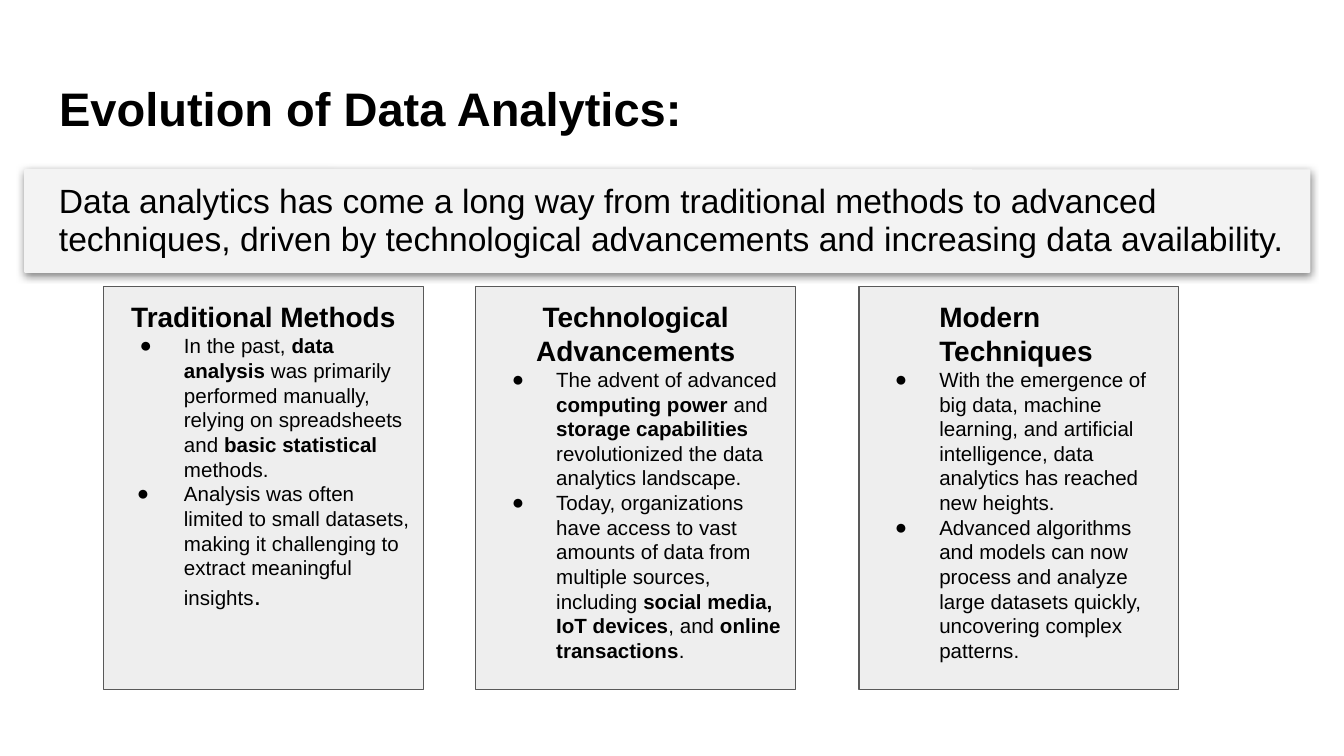
from lxml.etree import SubElement
from pptx import Presentation
from pptx.dml.color import RGBColor
from pptx.enum.shapes import MSO_SHAPE as Shape
from pptx.enum.text import MSO_ANCHOR as Anchor, PP_ALIGN as Align
from pptx.oxml.ns import qn
from pptx.util import Inches, Pt

TITLE = "Evolution of Data Analytics:"
SUMMARY = (
    "Data analytics has come a long way from traditional methods to advanced techniques, "
    "driven by technological advancements and increasing data availability."
)
REGULAR, BOLD, LARGE = (11, False), (11, True), (14, False)
CARDS = [
    {"left": 0.77, "heading": "Traditional Methods", "centered": True, "bullets": [
        (0.33, [("In the past, ", REGULAR), ("data analysis", BOLD),
                (" was primarily performed manually, relying on spreadsheets and ", REGULAR),
                ("basic statistical", BOLD), (" methods.", REGULAR)]),
        (0.35, [("Analysis was often limited to small datasets, making it challenging "
                 "to extract meaningful insights", REGULAR), (".", LARGE)]),
    ]},
    {"left": 3.54, "heading": "Technological Advancements", "centered": True, "bullets": [
        (0.33, [("The advent of advanced ", REGULAR), ("computing power", BOLD),
                (" and ", REGULAR), ("storage capabilities", BOLD),
                (" revolutionized the data analytics landscape.", REGULAR)]),
        (0.33, [("Today, organizations have access to vast amounts of data from "
                 "multiple sources, including ", REGULAR),
                ("social media, IoT devices", BOLD), (", and ", REGULAR),
                ("online transactions", BOLD), (".", REGULAR)]),
    ]},
    {"left": 6.39, "heading": "Modern Techniques", "centered": False, "bullets": [
        (0.33, [("With the emergence of big data, machine learning, and artificial "
                 "intelligence, data analytics has reached new heights.", REGULAR)]),
        (0.33, [("Advanced algorithms and models can now process and analyze large "
                 "datasets quickly, uncovering complex patterns.", REGULAR)]),
    ]},
]
SLIDE_WIDTH = Inches(10)
SLIDE_HEIGHT = SLIDE_WIDTH * 9 // 16
CARD_TOP, CARD_WIDTH, CARD_HEIGHT = 2.13, 2.38, 3
TEXT_LEFT, TEXT_WIDTH = 0.34, 9.32
BANNER_TOP, BANNER_HEIGHT = 1.26, 0.77
INDENT = 0.5


def color(value):
    return RGBColor.from_string(value)


def style(font, size, bold=False):
    font.name, font.size, font.bold = "Arial", Pt(size), bold
    font.color.rgb = color("000000")


def prepare(frame):
    frame.word_wrap = True
    frame.vertical_anchor = Anchor.TOP
    frame.margin_left = frame.margin_right = Inches(0.1)
    frame.margin_top = frame.margin_bottom = Inches(0.1)


def add_box(slide, kind, box, fill):
    shape = slide.shapes.add_shape(kind, *map(Inches, box))
    shape.shadow.inherit = False
    shape.fill.solid()
    shape.fill.fore_color.rgb = color(fill)
    return shape


def set_indent(paragraph, hanging=0):
    properties = paragraph._p.get_or_add_pPr()
    properties.set("marL", str(Inches(INDENT)))
    properties.set("indent", str(-Inches(hanging)))
    return properties


def add_bullet(frame, hanging, runs):
    paragraph = frame.add_paragraph()
    paragraph.alignment = Align.LEFT
    properties = set_indent(paragraph, hanging)
    bullet_color = SubElement(properties, qn("a:buClr"))
    SubElement(bullet_color, qn("a:srgbClr"), val="000000")
    SubElement(properties, qn("a:buFont"), typeface="Arial")
    SubElement(properties, qn("a:buChar"), char="●")
    for text, (size, bold) in runs:
        run = paragraph.add_run()
        run.text = text
        style(run.font, size, bold)


def add_card(slide, card):
    box = (card["left"], CARD_TOP, CARD_WIDTH, CARD_HEIGHT)
    shape = add_box(slide, Shape.RECTANGLE, box, "EEEEEE")
    shape.line.color.rgb = color("595959")
    shape.line.width = Pt(0.75)
    frame = shape.text_frame
    prepare(frame)
    heading = frame.paragraphs[0]
    heading.text = card["heading"]
    heading.alignment = Align.CENTER if card["centered"] else Align.LEFT
    if not card["centered"]:
        set_indent(heading)
    style(heading.font, 15, True)
    for hanging, runs in card["bullets"]:
        add_bullet(frame, hanging, runs)


def add_banner(slide):
    box = (0.18, BANNER_TOP, 9.57, BANNER_HEIGHT)
    banner = add_box(slide, Shape.ROUNDED_RECTANGLE, box, "F3F3F3")
    banner.adjustments[0] = 0.01
    banner.line.fill.background()
    effects = banner._element.spPr.find(qn("a:effectLst"))
    shadow = SubElement(effects, qn("a:outerShdw"), blurRad=str(Pt(4.5)), dist=str(Pt(1.5)),
                        dir=str(90 * 60000), algn="bl", rotWithShape="0")
    shade = SubElement(shadow, qn("a:srgbClr"), val="000000")
    SubElement(shade, qn("a:alpha"), val="50000")

    box = (TEXT_LEFT, BANNER_TOP, TEXT_WIDTH, BANNER_HEIGHT)
    frame = slide.shapes.add_textbox(*map(Inches, box)).text_frame
    prepare(frame)
    summary = frame.paragraphs[0]
    summary.text = SUMMARY
    summary.line_spacing = 0.95
    summary.space_after = Pt(12)
    style(summary.font, 18)


def add_title(slide):
    title = slide.shapes.title
    title.left, title.top = Inches(TEXT_LEFT), Inches(0.49)
    title.width, title.height = Inches(TEXT_WIDTH), Inches(0.63)
    prepare(title.text_frame)
    heading = title.text_frame.paragraphs[0]
    heading.text = TITLE
    heading.alignment = Align.LEFT
    style(heading.font, 25.2, True)


def main():
    """Build the slide on the evolution of data analytics."""
    deck = Presentation()
    deck.slide_width, deck.slide_height = SLIDE_WIDTH, SLIDE_HEIGHT
    slide = deck.slides.add_slide(deck.slide_layouts[5])
    add_title(slide)
    for card in CARDS:
        add_card(slide, card)
    add_banner(slide)
    deck.save("out.pptx")


if __name__ == "__main__":
    main()
